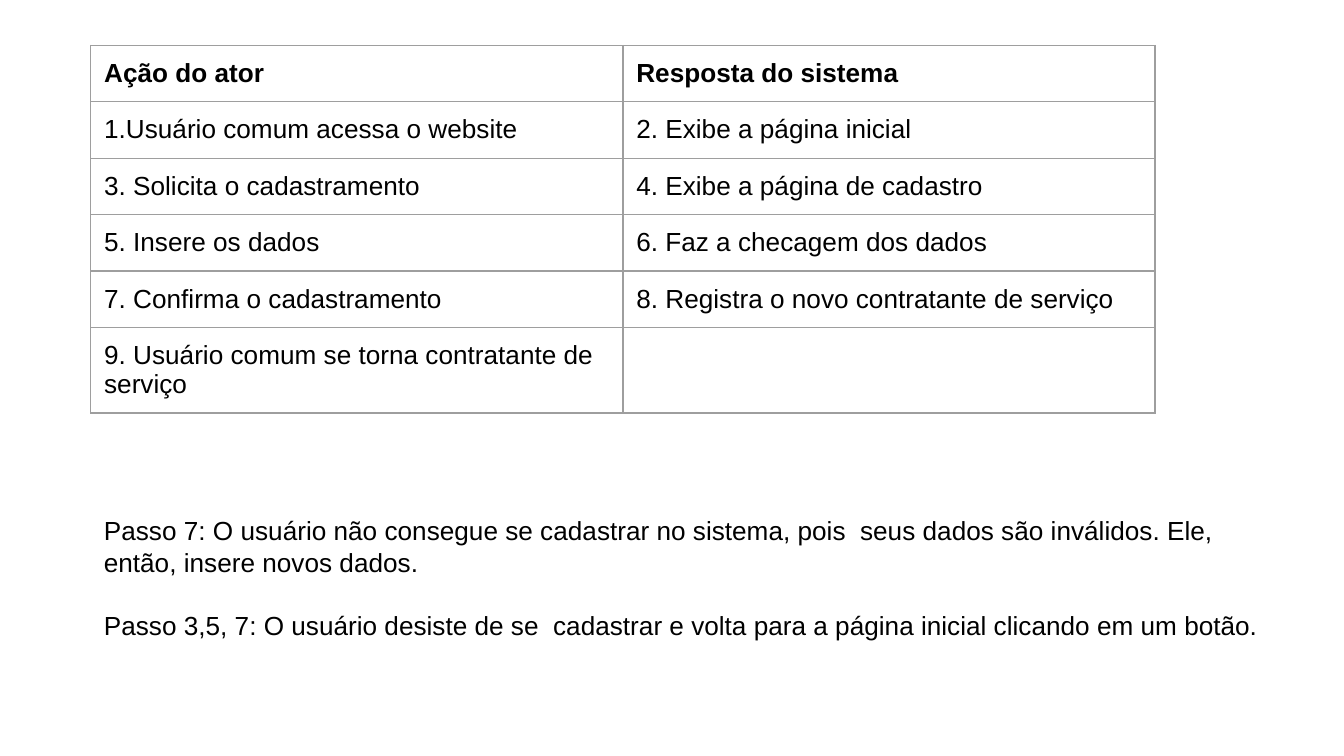
from dataclasses import dataclass
from lxml import etree
from pptx import Presentation
from pptx.dml.color import RGBColor
from pptx.enum.text import MSO_ANCHOR
from pptx.oxml.ns import qn
from pptx.util import Inches, Pt

TOP = MSO_ANCHOR.TOP
BLANK = 6


@dataclass(frozen=True)
class Theme:
    """Colours, font and sizes."""
    ink: str = "000000"
    rule: str = "9E9E9E"
    font: str = "Arial"
    size: float = 14
    line: float = 0.75
    pad: float = 0.1
    gap: float = 17


THEME = Theme()
STEPS = [
    ("Ação do ator", "Resposta do sistema"),
    ("1.Usuário comum acessa o website", "2. Exibe a página inicial"),
    ("3. Solicita o cadastramento", "4. Exibe a página de cadastro"),
    ("5. Insere os dados", "6. Faz a checagem dos dados"),
    ("7. Confirma o cadastramento", "8. Registra o novo contratante de serviço"),
    ("9. Usuário comum se torna contratante de serviço", ""),
]
NOTES = [
    "Passo 7: O usuário não consegue se cadastrar no sistema, pois  seus dados "
    "são inválidos. Ele, então, insere novos dados.",
    "Passo 3,5, 7: O usuário desiste de se  cadastrar e volta para a página "
    "inicial clicando em um botão.",
]


def style(para, bold=False):
    """Apply the theme font to a paragraph and its runs."""
    for item in (para, *para.runs):
        font = item.font
        font.name, font.size, font.bold = THEME.font, Pt(THEME.size), bold
        font.color.rgb = RGBColor.from_string(THEME.ink)


def inset(part):
    """Set equal margins on a cell or text frame."""
    part.margin_left = part.margin_right = Inches(THEME.pad)
    part.margin_top = part.margin_bottom = Inches(THEME.pad)


def frame(cell):
    """Rule all four sides of a cell."""
    props = cell._tc.get_or_add_tcPr()
    for spot, side in enumerate(("a:lnL", "a:lnR", "a:lnT", "a:lnB")):
        line = etree.Element(qn(side), w=str(Pt(THEME.line)))
        fill = etree.SubElement(line, qn("a:solidFill"))
        etree.SubElement(fill, qn("a:srgbClr"), val=THEME.rule)
        props.insert(spot, line)


def add_steps(slide, box, rows):
    """Place the table of actions and replies in box."""
    grid = slide.shapes.add_table(len(rows), len(rows[0]), *map(Inches, box)).table
    grid.first_row = grid.horz_banding = False
    for r, row in enumerate(rows):
        for c, text in enumerate(row):
            cell = grid.cell(r, c)
            cell.text_frame.text = text
            cell.vertical_anchor = TOP
            inset(cell)
            style(cell.text_frame.paragraphs[0], bold=r == 0)
            cell.fill.background()
            frame(cell)


def add_notes(slide, box, notes):
    """Place the alternative flows in box, one paragraph each."""
    body = slide.shapes.add_textbox(*map(Inches, box)).text_frame
    body.word_wrap = True
    inset(body)
    body.text = "\n".join(notes)
    for n, para in enumerate(body.paragraphs):
        style(para)
        para.line_spacing = 1.0
        para.space_before = Pt(THEME.gap if n else 0)


def main():
    """Build and save the slide."""
    deck = Presentation()
    wide = 10
    high = wide * 9 / 16
    deck.slide_width, deck.slide_height = Inches(wide), Inches(high)
    slide = deck.slides.add_slide(deck.slide_layouts[BLANK])
    left, top = 0.12 * high, 0.06 * high
    add_steps(slide, (left, top, 0.79 * wide + 0.02, 0.42 * len(STEPS)), STEPS)
    add_notes(slide, (left, 3.73, 0.88 * wide, 1.38), NOTES)
    deck.save("out.pptx")


main()
